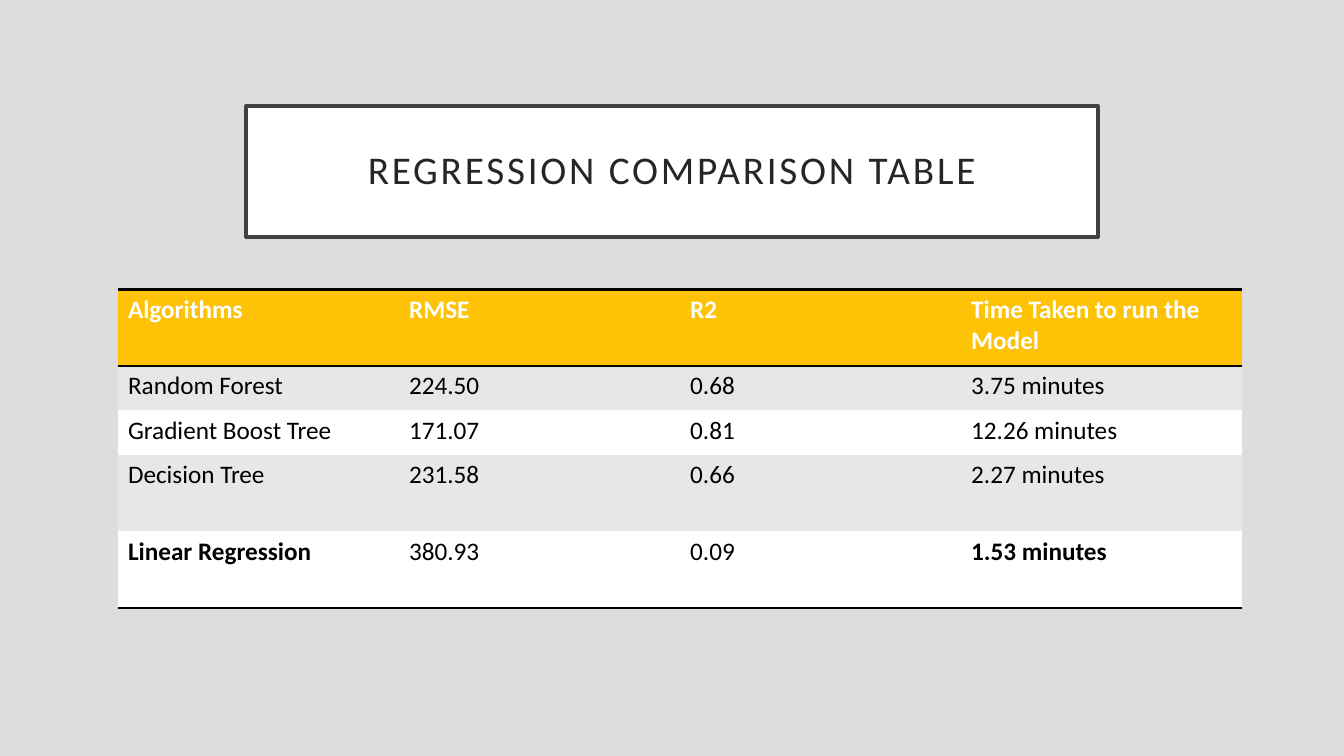
from lxml.etree import SubElement
from pptx import Presentation
from pptx.dml.color import RGBColor
from pptx.enum.text import MSO_ANCHOR, MSO_AUTO_SIZE, PP_ALIGN
from pptx.oxml.ns import qn
from pptx.util import Inches, Pt

FONT = "Calibri"
BLACK, WHITE = "000000", "FFFFFF"
HEADER_FILL, BAND_FILL = "FEC306", "E7E7E7"
NO_STYLE_NO_GRID = "{2D5ABB26-0587-4C30-8999-92F81FD0307C}"

ROWS = [
    ("Algorithms", "RMSE", "R2", "Time Taken to run the Model"),
    ("Random Forest", "224.50", "0.68", "3.75 minutes"),
    ("Gradient Boost Tree", "171.07", "0.81", "12.26 minutes"),
    ("Decision Tree", "231.58", "0.66", "2.27 minutes"),
    ("Linear Regression", "380.93", "0.09", "1.53 minutes"),
]
ROW_HEIGHTS = [0.76, 0.44, 0.44, 0.76, 0.76]
BOLD_TEXTS = {*ROWS[0], "Linear Regression", "1.53 minutes"}


def color(hex_value):
    return RGBColor.from_string(hex_value)


def set_fill(target, hex_value):
    target.fill.solid()
    target.fill.fore_color.rgb = color(hex_value)


def add_run(paragraph, text, size, hex_value, bold=False):
    run = paragraph.add_run()
    run.text = text
    run.font.name = FONT
    run.font.size = Pt(size)
    run.font.bold = bold
    run.font.color.rgb = color(hex_value)
    return run


def add_border(cell, side, width=2):
    """Draw a black rule on one side; call before filling the cell."""
    line = SubElement(cell._tc.get_or_add_tcPr(), qn(f"a:ln{side}"), w=str(Pt(width)))
    SubElement(SubElement(line, qn("a:solidFill")), qn("a:srgbClr"), val=BLACK)


def add_title(slide, left, top, width, height):
    title = slide.shapes.title
    title.left, title.top = Inches(left), Inches(top)
    title.width, title.height = Inches(width), Inches(height)
    set_fill(title, WHITE)
    title.line.color.rgb = color("404040")
    title.line.width = Pt(2.5)

    frame = title.text_frame
    frame.word_wrap = True
    frame.auto_size = MSO_AUTO_SIZE.NONE
    frame.vertical_anchor = MSO_ANCHOR.MIDDLE
    frame.margin_left = frame.margin_right = Inches(0.2)
    frame.margin_top = frame.margin_bottom = Inches(0.2)
    paragraph = frame.paragraphs[0]
    paragraph.alignment = PP_ALIGN.CENTER
    paragraph.line_spacing = 0.9
    run = add_run(paragraph, "REGRESSION COMPARISON TABLE", 28, "262626")
    run.font._element.set("spc", "200")


def add_comparison_table(slide, left, top, width):
    frame = slide.shapes.add_table(
        len(ROWS), len(ROWS[0]), Inches(left), Inches(top),
        Inches(width), Inches(sum(ROW_HEIGHTS)))
    table = frame.table
    table._tbl.tblPr.find(qn("a:tableStyleId")).text = NO_STYLE_NO_GRID
    for column in table.columns:
        column.width = Inches(width / len(ROWS[0]))

    for row_index, texts in enumerate(ROWS):
        is_header = row_index == 0
        table.rows[row_index].height = Inches(ROW_HEIGHTS[row_index])
        band = HEADER_FILL if is_header else BAND_FILL if row_index % 2 else WHITE
        for column_index, text in enumerate(texts):
            cell = table.cell(row_index, column_index)
            if is_header:
                add_border(cell, "T")
            if is_header or row_index == len(ROWS) - 1:
                add_border(cell, "B")
            set_fill(cell, band)
            add_run(cell.text_frame.paragraphs[0], text, 18,
                    WHITE if is_header else BLACK, text in BOLD_TEXTS)


def main():
    presentation = Presentation()
    presentation.slide_width = Inches(13.33)
    presentation.slide_height = Inches(7.5)
    slide = presentation.slides.add_slide(
        presentation.slide_layouts.get_by_name("Title Only"))
    set_fill(slide.background, "DDDDDD")
    add_title(slide, 2.44, 1.05, 8.45, 1.3)
    add_comparison_table(slide, 1.17, 2.87, 11.15)
    presentation.save("out.pptx")


if __name__ == "__main__":
    main()
